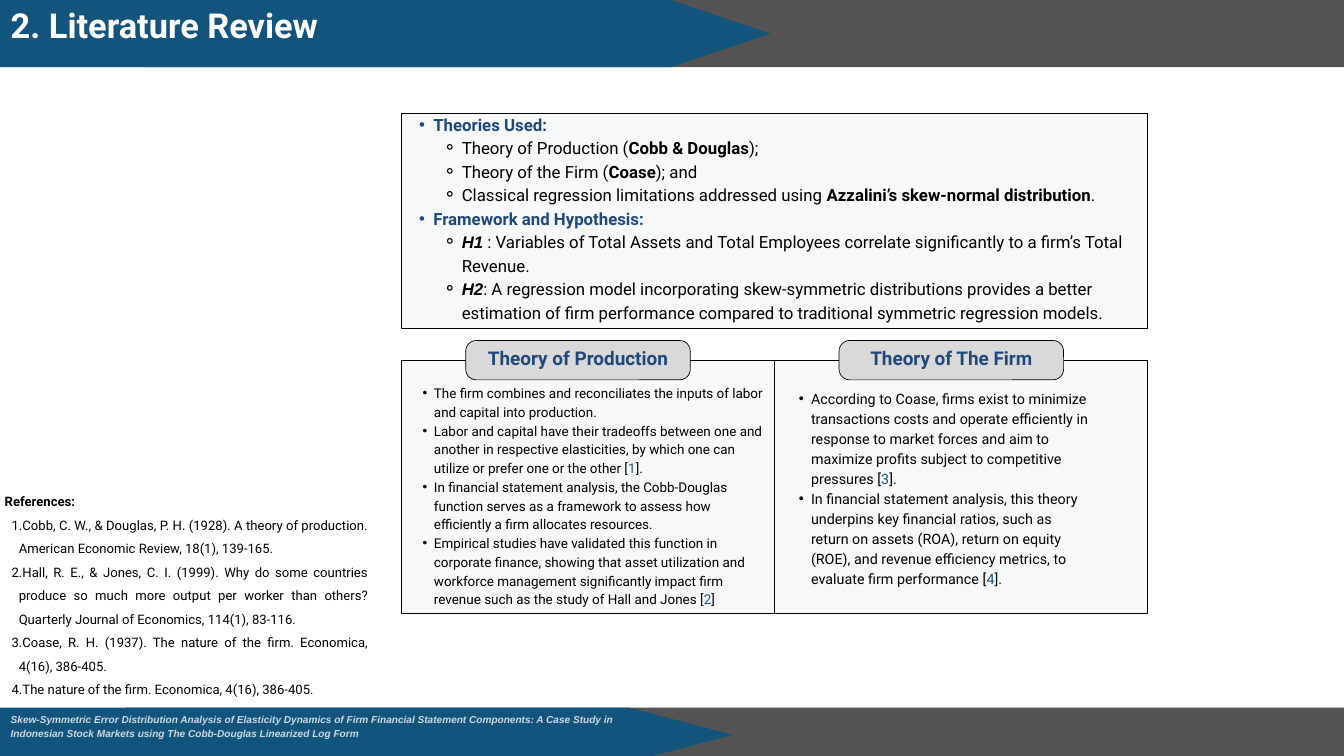
from lxml import etree
from pptx import Presentation
from pptx.dml.color import RGBColor
from pptx.enum.shapes import MSO_SHAPE
from pptx.enum.text import MSO_ANCHOR, PP_ALIGN
from pptx.oxml.ns import qn
from pptx.util import Pt

RECT = MSO_SHAPE.RECTANGLE
ROUND = MSO_SHAPE.ROUNDED_RECTANGLE
ARROW = MSO_SHAPE.PENTAGON
TOP, MIDDLE = MSO_ANCHOR.TOP, MSO_ANCHOR.MIDDLE
LEFT, CENTER, JUSTIFY = PP_ALIGN.LEFT, PP_ALIGN.CENTER, PP_ALIGN.JUSTIFY

COLORS = {"blue": "13547D", "gray": "545454", "navy": "1F497D", "panel": "F7F8F8",
          "tab": "D9D9D9", "black": "000000", "white": "FFFFFF"}

PLAIN = {"font": "Roboto", "color": "black"}
BOLD = {**PLAIN, "bold": True}
HEAD = {**BOLD, "color": "navy"}
HYPO = {**BOLD, "font": "Arial", "italic": True}
CITE = {**PLAIN, "color": "blue"}
TITLE = {**BOLD, "color": "white"}
FOOT = {**HYPO, "color": "white", "alpha": 79}

# Text between bars takes the marked style
THEORIES = [
    (1, HEAD, "|Theories Used:|"),
    (2, BOLD, "Theory of Production (|Cobb & Douglas|);"),
    (2, BOLD, "Theory of the Firm (|Coase|); and"),
    (2, BOLD, "Classical regression limitations addressed using "
              "|Azzalini’s skew-normal distribution|."),
    (1, HEAD, "|Framework and Hypothesis:|"),
    (2, HYPO, "|H1| : Variables of Total Assets and Total Employees correlate "
              "significantly to a firm’s Total Revenue."),
    (2, HYPO, "|H2|: A regression model incorporating skew-symmetric distributions "
              "provides a better estimation of firm performance compared to "
              "traditional symmetric regression models."),
]
PRODUCTION = [
    "The firm combines and reconciliates the inputs of labor and capital into production.",
    "Labor and capital have their tradeoffs between one and another in respective "
    "elasticities, by which one can utilize or prefer one or the other [|1|].",
    "In financial statement analysis, the Cobb-Douglas function serves as a framework "
    "to assess how efficiently a firm allocates resources.",
    "Empirical studies have validated this function in corporate finance, showing that "
    "asset utilization and workforce management significantly impact firm revenue such "
    "as the study of Hall and Jones [|2|]",
]
FIRM = [
    "According to Coase, firms exist to minimize transactions costs and operate "
    "efficiently in response to market forces and aim to maximize profits subject to "
    "competitive pressures [|3|].",
    "In financial statement analysis, this theory underpins key financial ratios, such as "
    "return on assets (ROA), return on equity (ROE), and revenue efficiency metrics, to "
    "evaluate firm performance [|4|].",
]
SOURCES = [
    "Cobb, C. W., & Douglas, P. H. (1928). A theory of production. American Economic "
    "Review, 18(1), 139-165.",
    "Hall, R. E., & Jones, C. I. (1999). Why do some countries produce so much more "
    "output per worker than others? Quarterly Journal of Economics, 114(1), 83-116.",
    "Coase, R. H. (1937). The nature of the firm. Economica, 4(16), 386-405.",
    "The nature of the firm. Economica, 4(16), 386-405.",
]


class Deck:
    def __init__(self, width, height):
        self.file = Presentation()
        self.file.slide_width, self.file.slide_height = Pt(width), Pt(height)
        self.slide = self.file.slides.add_slide(self.file.slide_layouts[6])

    def color(self, name):
        return RGBColor.from_string(COLORS[name])

    def shape(self, kind, box, fill, line=None, adjust=None):
        item = self.slide.shapes.add_shape(kind, *map(Pt, box))
        item.shadow.inherit = False
        item.fill.solid()
        item.fill.fore_color.rgb = self.color(fill)
        if line:
            item.line.color.rgb = self.color(line)
            item.line.width = Pt(0.75)
        else:
            item.line.fill.background()
        if adjust is not None:
            item.adjustments[0] = adjust

    def band(self, rest, arrow, tip):
        """Gray strip with a blue arrow over it; tip is the length of the point."""
        self.shape(RECT, rest, "gray")
        self.shape(ARROW, arrow, "blue", adjust=tip / arrow[3])

    def text(self, box, anchor=TOP, inset=0):
        frame = self.slide.shapes.add_textbox(*map(Pt, box)).text_frame
        frame.word_wrap = True
        frame.vertical_anchor = anchor
        frame.margin_left = frame.margin_right = Pt(inset)
        frame.margin_top = frame.margin_bottom = Pt(inset)
        return frame

    def para(self, frame, text, size, space, mark, align=LEFT, bullet=None):
        """Add a paragraph; bullet is (level, left, hang, sign), sign None for numbers."""
        para = frame.paragraphs[0]
        if para.runs:
            para = frame.add_paragraph()
        para.alignment = align
        para.line_spacing = space
        if bullet:
            self.bullet(para, *bullet)
        for index, part in enumerate(text.split("|")):
            if part:
                run = para.add_run()
                run.text = part
                self.style(run, size, **(mark if index % 2 else PLAIN))

    def bullet(self, para, level, left, hang, sign):
        para.level = level
        props = para._p.get_or_add_pPr()
        props.set("marL", str(Pt(left)))
        props.set("indent", str(-Pt(hang)))
        if sign:
            etree.SubElement(props, qn("a:buFont")).set("typeface", "Arial")
            etree.SubElement(props, qn("a:buChar")).set("char", sign)
        else:
            etree.SubElement(props, qn("a:buAutoNum")).set("type", "arabicPeriod")

    def style(self, run, size, font, color, bold=False, italic=False, alpha=None):
        face = run.font
        face.name, face.size = font, Pt(size)
        face.bold, face.italic = bold, italic
        face.color.rgb = self.color(color)
        if alpha:
            tint = run._r.find(".//" + qn("a:srgbClr"))
            etree.SubElement(tint, qn("a:alpha")).set("val", str(alpha * 1000))

    def label(self, box, text, size, space, mark, align=LEFT, anchor=TOP, inset=0):
        frame = self.text(box, anchor, inset)
        self.para(frame, f"|{text}|", size, Pt(space), mark, align)

    def bullets(self, box, items, size, space, hang):
        frame = self.text(box)
        for item in items:
            self.para(frame, item, size, Pt(space), CITE, bullet=(1, 2 * hang, hang, "•"))


def main():
    deck = Deck(1440, 810)
    deck.band((154, 0, 1286.7, 72), (-2.2, 0, 828, 72), 107)

    left, half = 429.8, 400
    deck.shape(RECT, (left, 121, 2 * half, 231), "panel", "black")
    frame = deck.text((left, 112.5, 2 * half, 239.5), MIDDLE, 4)
    levels = {1: (1, 30.5, 15.25, "•"), 2: (2, 61, 20.3, "⚬")}
    for level, mark, text in THEORIES:
        deck.para(frame, text, 18, Pt(25.2), mark, bullet=levels[level])

    for index, name in enumerate(("Theory of Production", "Theory of The Firm")):
        edge = left + index * half
        deck.shape(RECT, (edge, 386, half, 271.5), "panel", "black")
        deck.shape(ROUND, (edge + 69.2, 364.8, 240.6, 42.2), "tab", "black", 0.27)
        deck.label((edge + 69.2, 357, 240.6, 50), name, 20.3, 28.4, HEAD,
                   CENTER, MIDDLE, 4)

    deck.label((11.5, 30.2, 371, 24), "2. Literature Review", 36.8, 18.4, TITLE)
    deck.bullets((440.6, 409.8, 377.3, 241), PRODUCTION, 14.4, 20.1, 12.2)
    deck.bullets((843, 414.8, 327, 211), FIRM, 15.3, 21.5, 13)

    frame = deck.text((5, 520.5, 389.5, 226))
    deck.para(frame, "|References:|", 14, 1.5, BOLD, JUSTIFY)
    for source in SOURCES:
        deck.para(frame, source, 14, 1.5, PLAIN, JUSTIFY, (1, 15.1, 7.6, None))

    deck.band((134.6, 758.2, 1305.4, 51.8), (-21.6, 758.2, 807, 58.3), 111)
    deck.label((11.5, 761.8, 659, 30),
               "Skew-Symmetric Error Distribution Analysis of Elasticity Dynamics of Firm "
               "Financial Statement Components: A Case Study in Indonesian Stock Markets "
               "using The Cobb-Douglas Linearized Log Form", 10.8, 15.1, FOOT)
    deck.file.save("out.pptx")


if __name__ == "__main__":
    main()
